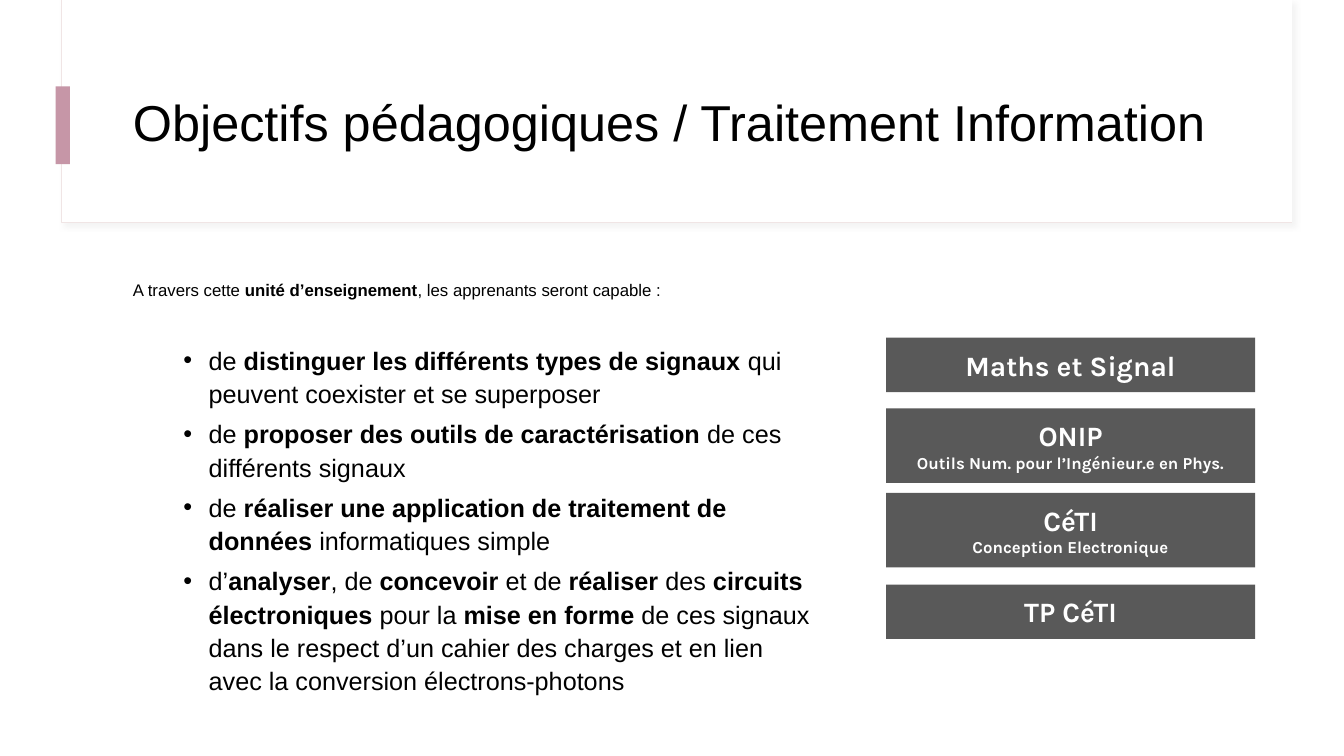
from dataclasses import dataclass

from lxml import etree
from pptx import Presentation
from pptx.dml.color import RGBColor
from pptx.enum.shapes import MSO_SHAPE
from pptx.enum.text import MSO_ANCHOR, PP_ALIGN
from pptx.oxml import parse_xml
from pptx.oxml.ns import nsdecls, qn
from pptx.shapes.autoshape import Shape
from pptx.slide import Slide
from pptx.text.text import TextFrame
from pptx.util import Cm, Pt

RECTANGLE = MSO_SHAPE.RECTANGLE
TOP = MSO_ANCHOR.TOP
MIDDLE = MSO_ANCHOR.MIDDLE
LEFT = PP_ALIGN.LEFT
CENTER = PP_ALIGN.CENTER

BLACK = RGBColor(0x00, 0x00, 0x00)
WHITE = RGBColor(0xFF, 0xFF, 0xFF)
PALE_PINK = RGBColor(0xF0, 0xE5, 0xE5)
PINK = RGBColor(0xC6, 0x96, 0xA7)
DARK_GRAY = RGBColor(0x59, 0x59, 0x59)

COURSE_LEFT = 22.33
COURSE_WIDTH = 9.3
BULLET_MARGIN = Cm(1.91)
BULLET_HANG = Cm(0.64)

OBJECTIVES = [
    "de **distinguer les différents types de signaux** qui peuvent coexister et se superposer",
    "de **proposer des outils de caractérisation** de ces différents signaux",
    "de **réaliser une application de traitement de données **informatiques simple",
    "d’**analyser**, de **concevoir** et de **réaliser** des **circuits électroniques** pour la "
    "**mise en forme **de ces signaux dans le respect d’un cahier des charges et en lien "
    "avec la conversion électrons-photons",
]


@dataclass(frozen=True)
class Course:
    name: str
    top: float
    height: float
    subtitle: str = ""


COURSES = [
    Course("Maths et Signal", 8.51, 1.37),
    Course("ONIP", 10.29, 1.88, "Outils Num. pour l’Ingénieur.e en Phys."),
    Course("CéTI", 12.42, 1.88, "Conception Electronique"),
    Course("TP CéTI", 14.73, 1.37),
]


def add_rectangle(slide: Slide, left: float, top: float, width: float, height: float,
                  fill: RGBColor, line: RGBColor | None = None) -> Shape:
    shape = slide.shapes.add_shape(RECTANGLE, Cm(left), Cm(top), Cm(width), Cm(height))
    shape.shadow.inherit = False
    shape.fill.solid()
    shape.fill.fore_color.rgb = fill
    if line is None:
        shape.line.fill.background()
    else:
        shape.line.color.rgb = line
        shape.line.width = Pt(0.75)
    return shape


def add_soft_shadow(shape: Shape) -> None:
    effects = shape._element.spPr.find(qn("a:effectLst"))
    effects.append(parse_xml(
        f'<a:outerShdw {nsdecls("a")} blurRad="{Pt(4)}" dist="{Pt(3)}" dir="2700000">'
        '<a:srgbClr val="D9D9D9"><a:alpha val="30000"/></a:srgbClr></a:outerShdw>'))


def add_text_frame(slide: Slide, left: float, top: float, width: float, height: float,
                   anchor: MSO_ANCHOR) -> TextFrame:
    text_frame = slide.shapes.add_textbox(Cm(left), Cm(top), Cm(width), Cm(height)).text_frame
    text_frame.word_wrap = True
    text_frame.vertical_anchor = anchor
    return text_frame


def write(text_frame: TextFrame, text: str, *, size: float, font: str = "Arial",
          color: RGBColor = BLACK, bold: bool = False, align: PP_ALIGN = LEFT,
          line_spacing: float = 1.0, space_before: float = 0, bullet: bool = False) -> None:
    paragraph = text_frame.paragraphs[0]
    if paragraph.runs:
        paragraph = text_frame.add_paragraph()
    paragraph.alignment = align
    paragraph.line_spacing = line_spacing
    paragraph.space_before = Pt(space_before)
    if bullet:
        properties = paragraph._p.get_or_add_pPr()
        properties.set("marL", str(BULLET_MARGIN))
        properties.set("indent", str(-BULLET_HANG))
        etree.SubElement(properties, qn("a:buFont")).set("typeface", "Arial")
        etree.SubElement(properties, qn("a:buChar")).set("char", "•")
    for index, part in enumerate(text.split("**")):
        if part:
            run = paragraph.add_run()
            run.text = part
            run.font.name = font
            run.font.size = Pt(size)
            run.font.color.rgb = color
            run.font.bold = bold or index % 2 == 1


def add_header(slide: Slide) -> None:
    frame = add_rectangle(slide, 1.55, 0, 31.01, 5.61, WHITE, PALE_PINK)
    add_soft_shadow(frame)
    add_rectangle(slide, 1.57, 0, 30.99, 5.59, WHITE)
    add_rectangle(slide, 1.4, 2.18, 0.36, 1.96, PINK)
    title = add_text_frame(slide, 3.1, 1.52, 28.24, 3.28, MIDDLE)
    write(title, "Objectifs pédagogiques / Traitement Information", size=36, line_spacing=0.9)


def add_objectives(slide: Slide) -> None:
    body = add_text_frame(slide, 3.1, 6.88, 17.81, 10.26, TOP)
    write(body, "A travers cette **unité d’enseignement**, les apprenants seront capable :",
          size=12, line_spacing=1.1)
    for index, objective in enumerate(OBJECTIVES):
        write(body, objective, size=18, line_spacing=1.1, bullet=True,
              space_before=5 if index else 30)


def add_course(slide: Slide, course: Course) -> None:
    shape = add_rectangle(slide, COURSE_LEFT, course.top, COURSE_WIDTH, course.height, DARK_GRAY)
    text_frame = shape.text_frame
    text_frame.word_wrap = True
    text_frame.vertical_anchor = MIDDLE
    text_frame.margin_top = text_frame.margin_bottom = Cm(0.25)
    for text, size in ((course.name, 20), (course.subtitle, 12)):
        if text:
            write(text_frame, text, size=size, font="Karla", color=WHITE, bold=True, align=CENTER)


def main() -> None:
    presentation = Presentation()
    presentation.slide_width = Cm(33.87)
    presentation.slide_height = Cm(19.05)
    slide = presentation.slides.add_slide(presentation.slide_layouts[6])
    add_header(slide)
    add_objectives(slide)
    for course in COURSES:
        add_course(slide, course)
    presentation.save("out.pptx")


if __name__ == "__main__":
    main()
